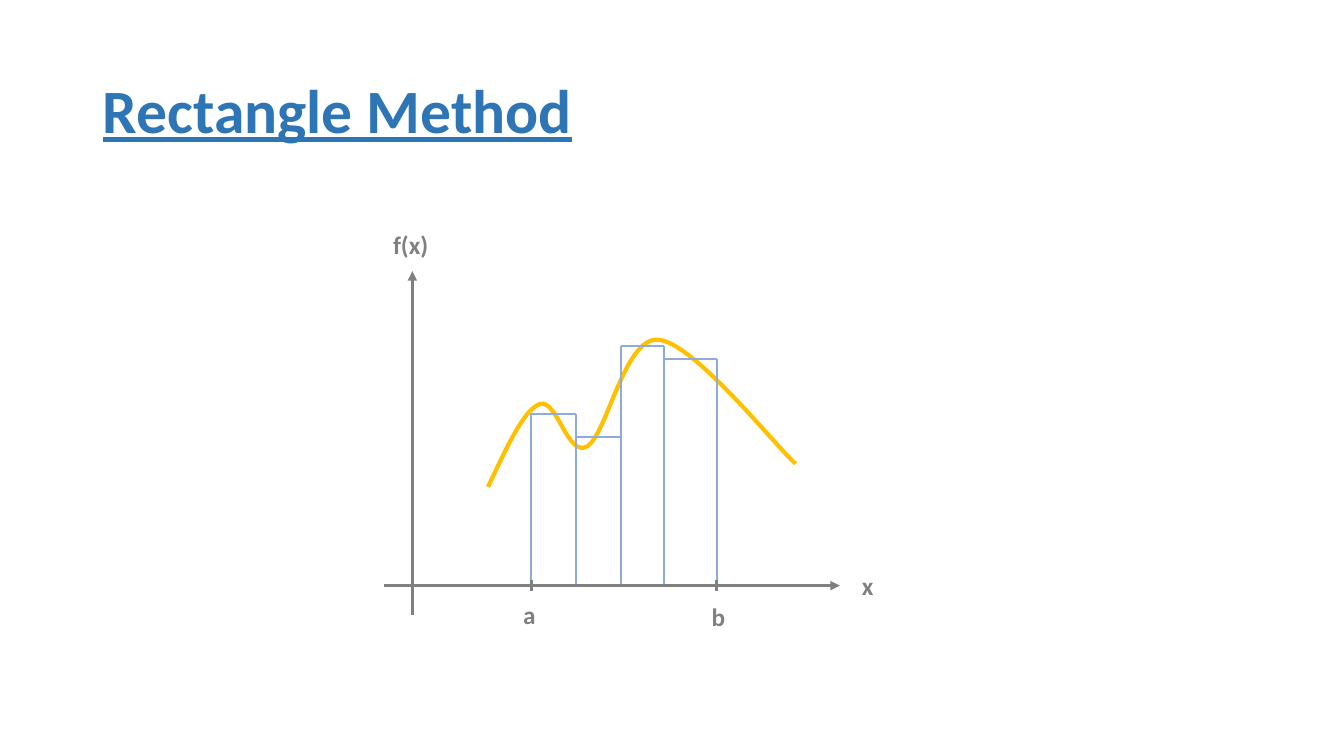
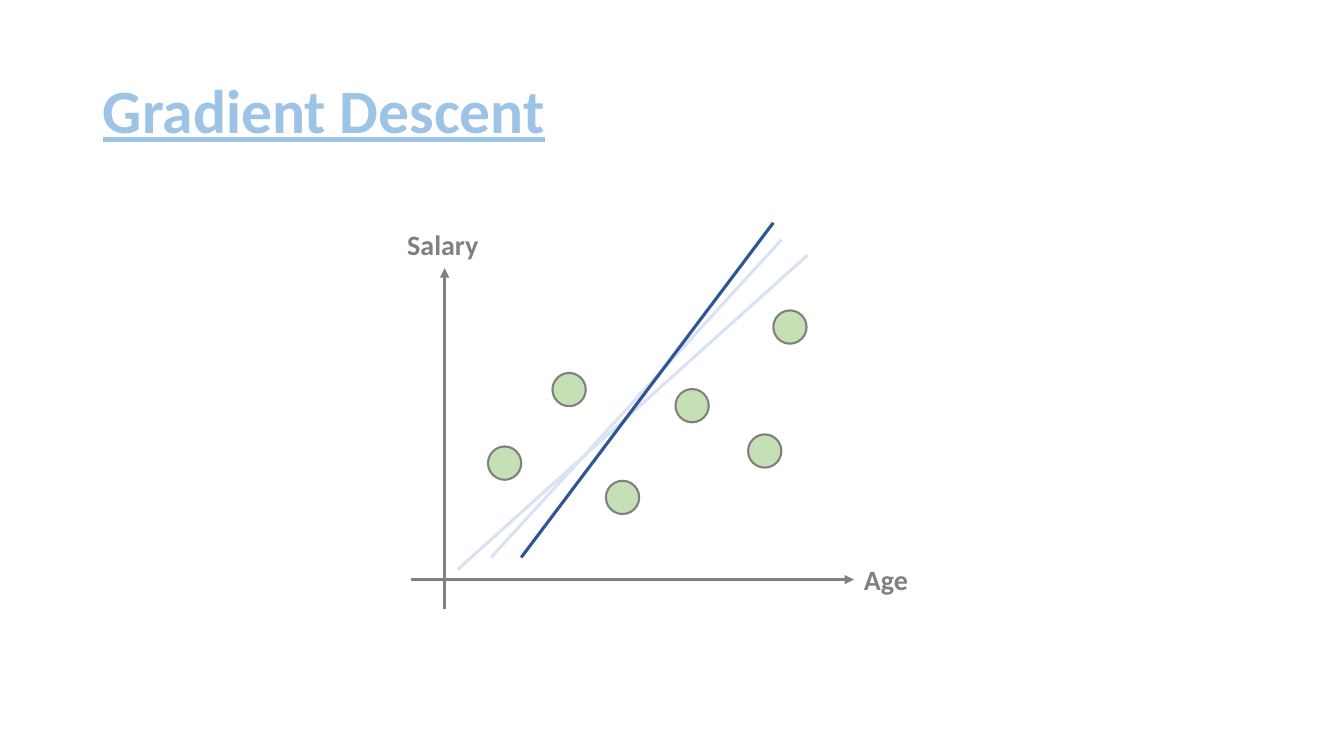
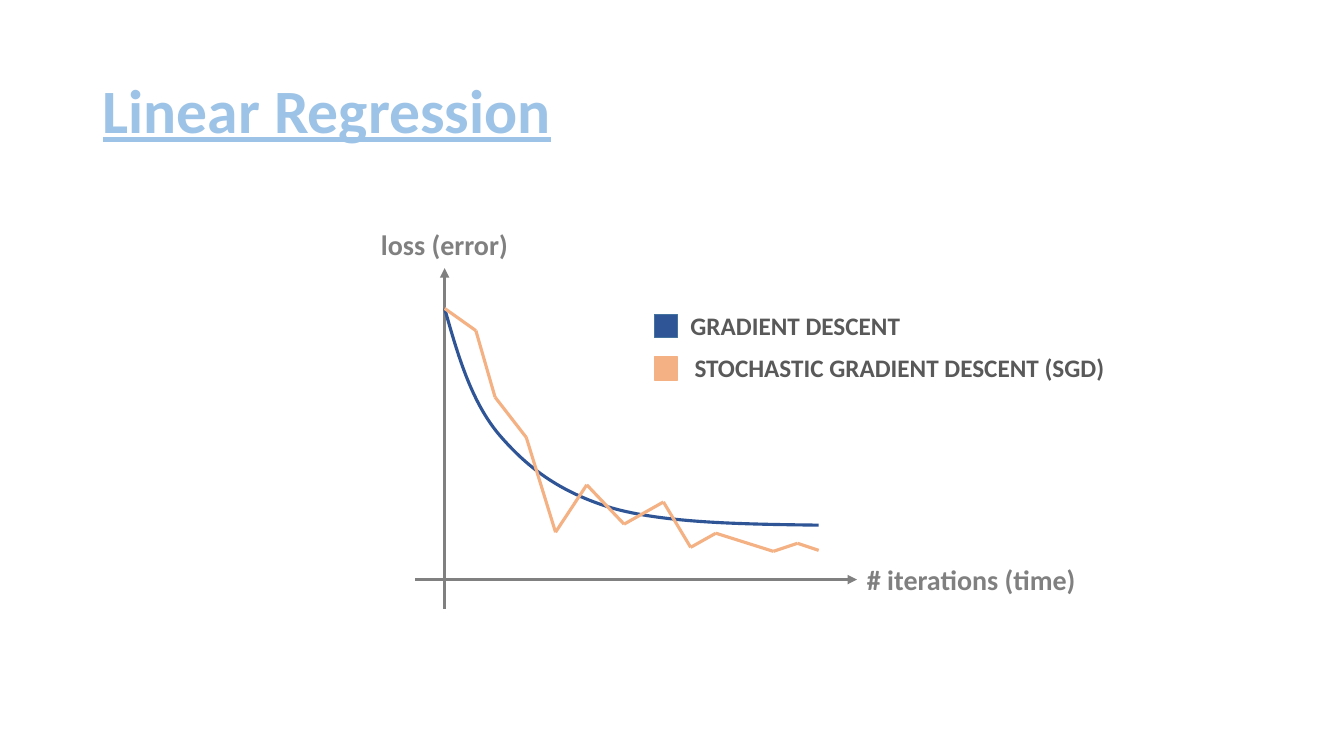
from dataclasses import dataclass

from pptx import Presentation
from pptx.dml.color import RGBColor
from pptx.enum.shapes import MSO_CONNECTOR, MSO_SHAPE
from pptx.enum.text import MSO_ANCHOR, MSO_AUTO_SIZE, PP_ALIGN
from pptx.oxml.ns import qn
from pptx.util import Inches, Pt
from lxml.etree import SubElement


@dataclass(frozen=True)
class Theme:
    font: str = "Calibri"
    strong_title: str = "2E75B6"
    soft_title: str = "9DC3E6"
    grey: str = "808080"
    legend_text: str = "595959"
    gold: str = "FFC000"
    bar: str = "8FAADC"
    point: str = "C5E0B4"
    pale: str = "DAE3F3"
    navy: str = "2F5597"
    navy_edge: str = "43739E"
    orange: str = "F4B183"
    title_size: float = 44
    axis_size: float = 20
    label_size: float = 18
    hair: float = 1
    thin: float = 1.5
    medium: float = 2.25
    thick: float = 3


THEME = Theme()

# Labels are (text, left, top, width); lines are (start, end); lengths in inches.
RECTANGLE = {
    "title": "Rectangle Method",
    "y_axis": ((4.09, 6.1), (4.09, 2.69)),
    "x_axis": ((3.81, 5.81), (8.33, 5.81)),
    "labels": [
        ("x", 8.45, 5.61, 0.32),
        ("f(x)", 3.8, 2.23, 0.56),
        ("a", 5.09, 5.9, 0.33),
        ("b", 6.96, 5.92, 0.34),
    ],
    "curve": [
        (4.84, 4.83),
        (5.02, 4.45), (5.19, 4.07), (5.35, 4.01),
        (5.52, 3.94), (5.63, 4.54), (5.82, 4.43),
        (6.02, 4.32), (6.19, 3.34), (6.53, 3.37),
        (6.88, 3.4), (7.67, 4.4), (7.89, 4.6),
    ],
    "bar_edges": [5.27, 5.71, 6.16, 6.59, 7.11],
    "bar_tops": [4.11, 4.34, 3.43, 3.56],
}

DESCENT = {
    "title": "Gradient Descent",
    "y_axis": ((4.41, 6.04), (4.41, 2.66)),
    "x_axis": ((4.08, 5.75), (8.47, 5.75)),
    "labels": [("Age", 8.47, 5.53, 0.64), ("Salary", 3.94, 2.21, 0.91)],
    "points": [(4.84, 4.43), (5.48, 3.7), (6.01, 4.77),
               (6.7, 3.86), (7.42, 4.31), (7.67, 3.08)],
    "fits": [
        ((4.54, 5.65), (8.01, 2.53), THEME.pale),
        ((4.87, 5.53), (7.75, 2.38), THEME.pale),
        ((5.17, 5.53), (7.67, 2.21), THEME.navy),
    ],
}

REGRESSION = {
    "title": "Linear Regression",
    "y_axis": DESCENT["y_axis"],
    "x_axis": ((4.12, 5.75), (8.5, 5.75)),
    "labels": [("# iterations (time)", 8.5, 5.53, 2.29),
               ("loss (error)", 3.68, 2.21, 1.47)],
    "gradient": [
        (4.41, 3.06),
        (4.54, 3.52), (4.67, 3.97), (4.94, 4.3),
        (5.22, 4.63), (5.54, 4.88), (6.07, 5.04),
        (6.6, 5.19), (7.36, 5.2), (8.12, 5.21),
    ],
    "stochastic": [
        (4.41, 3.06), (4.72, 3.28), (4.91, 3.94), (5.22, 4.34), (5.51, 5.28),
        (5.82, 4.81), (6.19, 5.2), (6.58, 4.98), (6.85, 5.43), (7.1, 5.29),
        (7.67, 5.47), (7.91, 5.39), (8.12, 5.46),
    ],
    "legend": [
        (("GRADIENT DESCENT", 6.75, 3.03, 2.3), THEME.navy, THEME.navy_edge),
        (("STOCHASTIC GRADIENT DESCENT (SGD)", 6.79, 3.45, 4.31),
         THEME.orange, THEME.orange),
    ],
}

POINT_SIZE = 0.33
SWATCH_SIZE = 0.23
SWATCH_LEFT = 6.49
SWATCH_DROP = 0.09
TICK_HEIGHT = 0.11


def rgb(value):
    return RGBColor.from_string(value)


def style_text(paragraph, size, color):
    font = paragraph.font
    font.name, font.size, font.bold = THEME.font, Pt(size), True
    font.color.rgb = rgb(color)


def style_line(line, color, width):
    line.color.rgb = rgb(color)
    line.width = Pt(width)


def add_titled_slide(prs, title, color):
    slide = prs.slides.add_slide(prs.slide_layouts[5])
    heading = slide.shapes.title
    heading.left, heading.top = Inches(0.92), Inches(0.4)
    heading.width, heading.height = Inches(11.5), Inches(1.45)
    frame = heading.text_frame
    frame.text = title
    frame.auto_size = MSO_AUTO_SIZE.NONE
    frame.vertical_anchor = MSO_ANCHOR.MIDDLE
    paragraph = frame.paragraphs[0]
    paragraph.alignment = PP_ALIGN.LEFT
    paragraph.line_spacing = 0.9
    style_text(paragraph, THEME.title_size, color)
    paragraph.font.underline = True
    return slide


def add_label(slide, label, size, color=THEME.grey):
    text, left, top, width = label
    height = 0.44 if size == THEME.axis_size else 0.4
    box = slide.shapes.add_textbox(
        Inches(left), Inches(top), Inches(width), Inches(height))
    frame = box.text_frame
    frame.text = text
    frame.word_wrap = False
    frame.auto_size = MSO_AUTO_SIZE.SHAPE_TO_FIT_TEXT
    style_text(frame.paragraphs[0], size, color)


def add_line(slide, start, end, color, width, arrow=False):
    line = slide.shapes.add_connector(
        MSO_CONNECTOR.STRAIGHT, *(Inches(v) for v in (*start, *end)))
    style_line(line.line, color, width)
    if arrow:
        SubElement(line.line._get_or_add_ln(), qn("a:tailEnd"), type="triangle")
    SubElement(line._element.spPr, qn("a:effectLst"))


def add_axes(slide, chart, label_size):
    for axis in ("y_axis", "x_axis"):
        add_line(slide, *chart[axis], THEME.grey, THEME.medium, arrow=True)
    for label in chart["labels"]:
        add_label(slide, label, label_size)


def add_curve(slide, points, color, width):
    """Draw a Bezier path: a start, then two controls and an end per segment."""
    start, *rest = [(Inches(x), Inches(y)) for x, y in points]
    builder = slide.shapes.build_freeform(*start)
    builder.add_line_segments(rest, close=False)
    curve = builder.convert_to_shape()
    outline = curve._element.find(".//" + qn("a:path"))
    steps = outline.findall(qn("a:lnTo"))
    for i in range(0, len(steps), 3):
        segment = SubElement(outline, qn("a:cubicBezTo"))
        for step in steps[i:i + 3]:
            segment.append(step[0])
            outline.remove(step)
    curve.fill.background()
    curve.shadow.inherit = False
    style_line(curve.line, color, width)


def add_mark(slide, kind, left, top, size, fill, edge, width):
    mark = slide.shapes.add_shape(
        kind, Inches(left), Inches(top), Inches(size), Inches(size))
    mark.shadow.inherit = False
    mark.fill.solid()
    mark.fill.fore_color.rgb = rgb(fill)
    style_line(mark.line, edge, width)


def build_rectangle_method(prs):
    chart = RECTANGLE
    slide = add_titled_slide(prs, chart["title"], THEME.strong_title)
    add_curve(slide, chart["curve"], THEME.gold, THEME.thick)
    edges, tops = chart["bar_edges"], chart["bar_tops"]
    base = chart["x_axis"][0][1]
    for left, right, top in zip(edges, edges[1:], tops):
        add_line(slide, (left, top), (right, top), THEME.bar, THEME.thin)
    # Each side reaches the taller of the two bars that share it.
    for x, before, after in zip(edges, tops[:1] + tops, tops + tops[-1:]):
        add_line(slide, (x, base), (x, min(before, after)), THEME.bar, THEME.thin)
    add_axes(slide, chart, THEME.label_size)
    for x in (edges[0], edges[-1]):
        add_line(slide, (x, base - TICK_HEIGHT / 2), (x, base + TICK_HEIGHT / 2),
                 THEME.grey, THEME.medium)


def build_gradient_descent(prs):
    chart = DESCENT
    slide = add_titled_slide(prs, chart["title"], THEME.soft_title)
    add_axes(slide, chart, THEME.axis_size)
    for left, top in chart["points"]:
        add_mark(slide, MSO_SHAPE.OVAL, left, top, POINT_SIZE,
                 THEME.point, THEME.grey, THEME.thin)
    for start, end, color in chart["fits"]:
        add_line(slide, start, end, color, THEME.medium)


def build_linear_regression(prs):
    chart = REGRESSION
    slide = add_titled_slide(prs, chart["title"], THEME.soft_title)
    add_axes(slide, chart, THEME.axis_size)
    add_curve(slide, chart["gradient"], THEME.navy, THEME.medium)
    losses = chart["stochastic"]
    for start, end in zip(losses, losses[1:]):
        add_line(slide, start, end, THEME.orange, THEME.medium)
    for label, fill, edge in chart["legend"]:
        add_mark(slide, MSO_SHAPE.RECTANGLE, SWATCH_LEFT, label[2] + SWATCH_DROP,
                 SWATCH_SIZE, fill, edge, THEME.hair)
        add_label(slide, label, THEME.label_size, THEME.legend_text)


def main():
    prs = Presentation()
    prs.slide_width, prs.slide_height = Inches(13.33), Inches(7.5)
    build_rectangle_method(prs)
    build_gradient_descent(prs)
    build_linear_regression(prs)
    prs.save("out.pptx")


if __name__ == "__main__":
    main()
